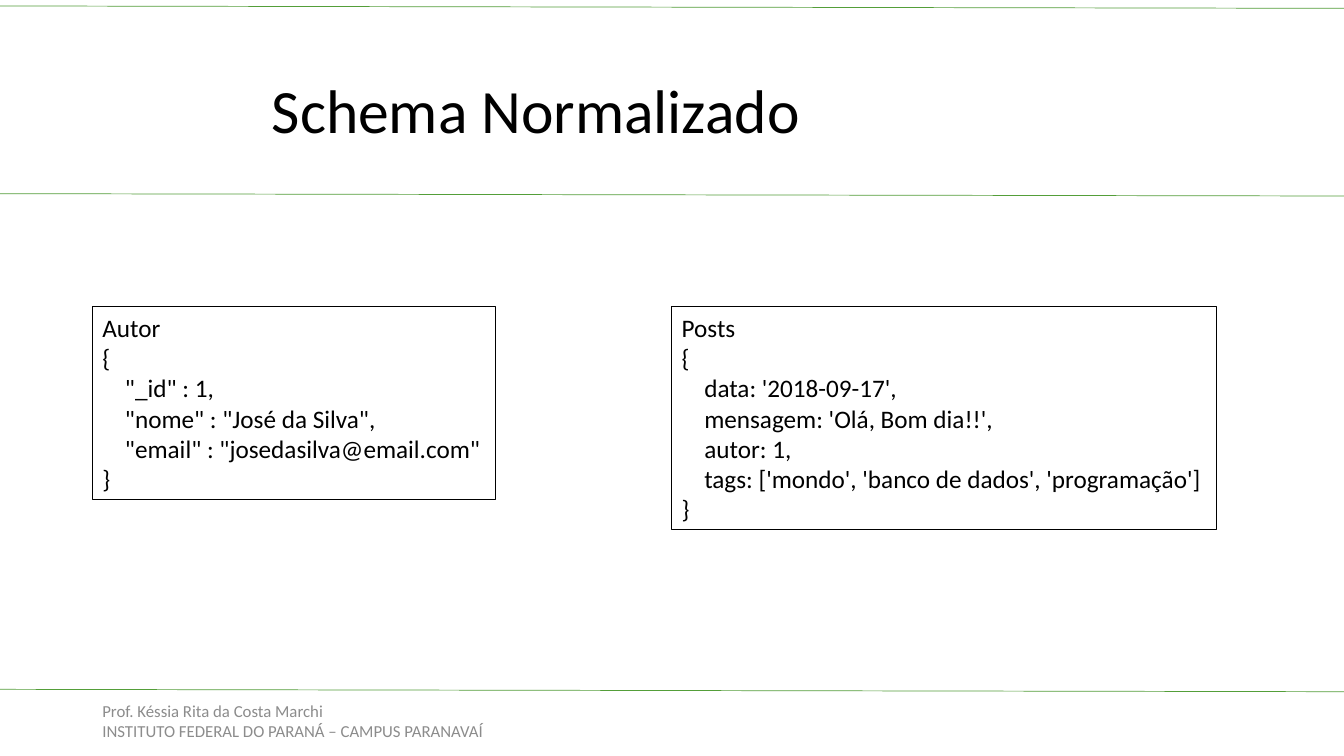
from pptx import Presentation
from pptx.dml.color import RGBColor
from pptx.enum.shapes import MSO_CONNECTOR, MSO_SHAPE
from pptx.enum.text import MSO_ANCHOR, PP_ALIGN
from pptx.oxml.ns import qn
from pptx.util import Cm, Pt
from lxml.etree import SubElement


def color(hex_code):
    return RGBColor.from_string(hex_code)


class SlideBuilder:
    font = "Calibri"
    ink = "000000"
    paper = "FFFFFF"
    muted = "8C8C8C"
    green = "549E39"
    indent = Cm(0.57)

    def __init__(self, slide, width):
        self.slide = slide
        self.width = width

    def rule(self, top):
        line = self.slide.shapes.add_connector(
            MSO_CONNECTOR.STRAIGHT, 0, Cm(top), self.width, Cm(top + 0.06))
        line.line.color.rgb = color(self.green)
        line.line.width = Pt(0.5)
        SubElement(line._element.spPr, qn("a:effectLst"))

    def set_lines(self, frame, lines, size, hex_code, spacing=None):
        frame.word_wrap = True
        frame.vertical_anchor = MSO_ANCHOR.MIDDLE
        frame.text = "\n".join(lines)
        for paragraph in frame.paragraphs:
            paragraph.alignment = PP_ALIGN.LEFT
            paragraph.line_spacing = spacing
            for run in paragraph.runs:
                run.font.name = self.font
                run.font.size = Pt(size)
                run.font.color.rgb = color(hex_code)

    def text(self, lines, left, top, width, height, size, hex_code, spacing=None):
        box = self.slide.shapes.add_textbox(Cm(left), Cm(top), Cm(width), Cm(height))
        self.set_lines(box.text_frame, lines, size, hex_code, spacing)

    def document(self, name, fields, left, top, width, height):
        card = self.slide.shapes.add_shape(
            MSO_SHAPE.RECTANGLE, Cm(left), Cm(top), Cm(width), Cm(height))
        card.shadow.inherit = False
        card.fill.solid()
        card.fill.fore_color.rgb = color(self.paper)
        card.line.color.rgb = color(self.ink)
        card.line.width = Pt(1)
        self.set_lines(card.text_frame, [name, "{", *fields, "}"], 18, self.ink)
        for paragraph in card.text_frame.paragraphs[2:-1]:
            properties = paragraph._p.get_or_add_pPr()
            properties.set("marL", str(self.indent))
            properties.set("indent", "0")


deck = Presentation()
deck.slide_width = Cm(33.87)
deck.slide_height = Cm(19.05)
builder = SlideBuilder(deck.slides.add_slide(deck.slide_layouts[6]), deck.slide_width)

for rule_top in (4.88, 0.15, 17.37):
    builder.rule(rule_top)

builder.text(["Schema Normalizado"], 6.6, 1.02, 22.78, 3.68, 44, builder.ink, 0.9)
builder.text(
    ["Prof. Késsia Rita da Costa Marchi", "INSTITUTO FEDERAL DO PARANÁ – CAMPUS PARANAVAÍ"],
    2.33, 17.65, 11.43, 1.02, 12, builder.muted)

post_fields = [
    "data: '2018-09-17',",
    "mensagem: 'Olá, Bom dia!!',",
    "autor: 1,",
    "tags: ['mondo', 'banco de dados', 'programação']",
]
author_fields = [
    '"_id" : 1,',
    '"nome" : "José da Silva",',
    '"email" : "josedasilva@email.com"',
]
documents_top = 7.72
builder.document("Posts", post_fields, 16.93, documents_top, 13.73, 5.63)
builder.document("Autor", author_fields, 2.33, documents_top, 10.16, 4.87)

deck.save("out.pptx")
